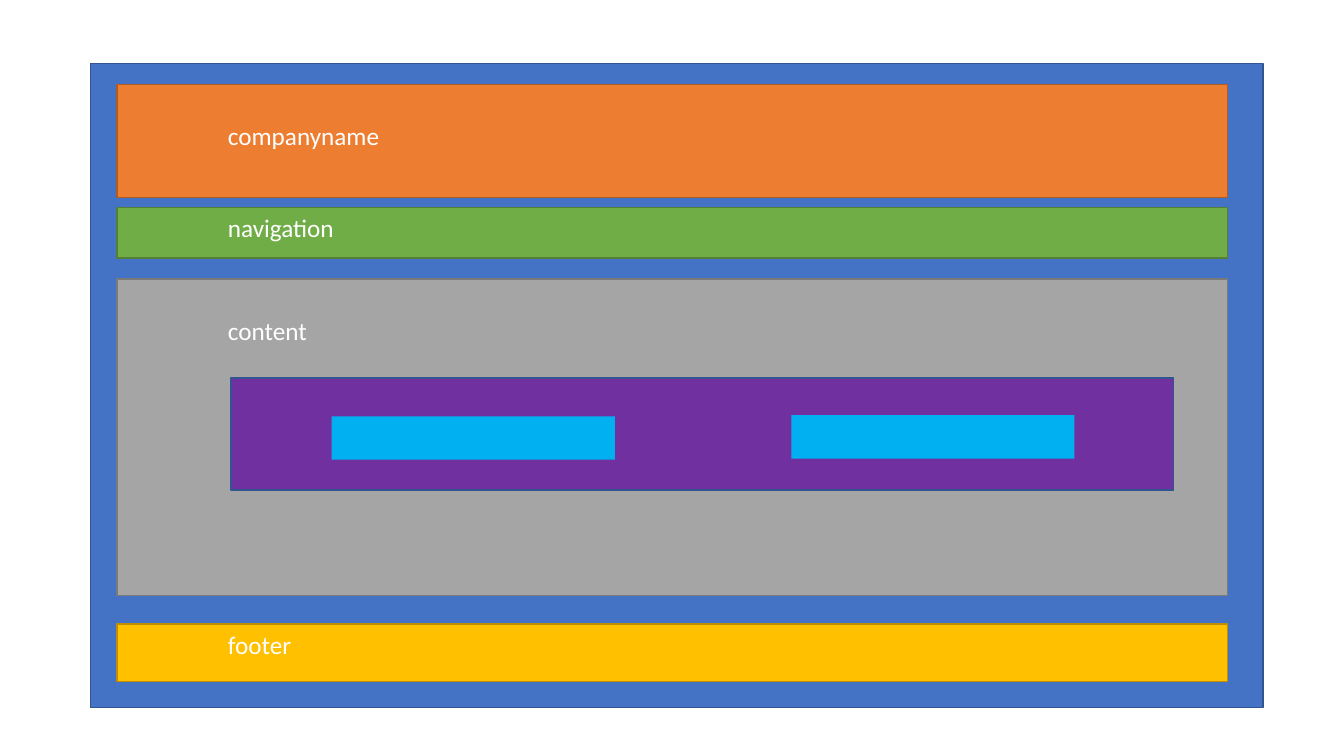
from pptx import Presentation
from pptx.dml.color import RGBColor
from pptx.enum.shapes import MSO_SHAPE
from pptx.enum.text import MSO_ANCHOR, PP_ALIGN
from pptx.util import Pt

# Colours
WHITE = RGBColor(0xFF, 0xFF, 0xFF)
BLUE = RGBColor(0x44, 0x72, 0xC4)
DARK_BLUE = RGBColor(0x32, 0x54, 0x91)
ORANGE = RGBColor(0xED, 0x7D, 0x31)
DARK_ORANGE = RGBColor(0xAF, 0x5C, 0x24)
GREEN = RGBColor(0x70, 0xAD, 0x47)
DARK_GREEN = RGBColor(0x53, 0x80, 0x35)
GREY = RGBColor(0xA5, 0xA5, 0xA5)
DARK_GREY = RGBColor(0x7A, 0x7A, 0x7A)
GOLD = RGBColor(0xFF, 0xC0, 0x00)
DARK_GOLD = RGBColor(0xBD, 0x8E, 0x00)
PURPLE = RGBColor(0x70, 0x30, 0xA0)
SKY = RGBColor(0x00, 0xB0, 0xF0)

# Content: label, top, height, lines above the label, fill, line
SECTIONS = [
    ("companyname", 60.5, 80.6, 1, ORANGE, DARK_ORANGE),
    ("navigation", 148.3, 36, 0, GREEN, DARK_GREEN),
    ("content", 199.4, 226.1, 1, GREY, DARK_GREY),
    ("footer", 445.7, 41, 0, GOLD, DARK_GOLD),
]
BUTTONS = [(236.9, 297.4), (565.2, 296.6)]

# Layout in points
FRAME = (64.8, 45.4, 837.4, 460.1)
PANEL = (164.9, 270, 673.2, 79.9)
BUTTON_SIZE = (202.3, 31)
SECTION_LEFT, SECTION_WIDTH = 83.6, 793.4
LABEL_INDENT, TOP_INSET, LINE_HEIGHT = 79.2, 3.6, 22
LABEL_FONT = {"name": "Calibri", "size": Pt(18)}


def add_box(slide, bounds, fill, line=None):
    box = slide.shapes.add_shape(MSO_SHAPE.RECTANGLE, *(Pt(value) for value in bounds))
    box.shadow.inherit = False
    box.fill.solid()
    box.fill.fore_color.rgb = fill
    if line is None:
        box.line.fill.background()
    else:
        box.line.color.rgb = line
        box.line.width = Pt(1)
    return box


def add_label(box, label, lines_above):
    frame_format = {
        "vertical_anchor": MSO_ANCHOR.TOP,
        "margin_left": Pt(LABEL_INDENT),
        "margin_top": Pt(TOP_INSET + lines_above * LINE_HEIGHT),
    }
    for name, value in frame_format.items():
        setattr(box.text_frame, name, value)
    para = box.text_frame.paragraphs[0]
    para.alignment = PP_ALIGN.LEFT
    span = para.add_run()
    span.text = label
    for name, value in LABEL_FONT.items():
        setattr(span.font, name, value)
    span.font.color.rgb = WHITE


def main():
    deck = Presentation()
    deck.slide_width, deck.slide_height = Pt(960), Pt(540)
    page = deck.slides.add_slide(deck.slide_layouts[6])

    # Page frame and its sections
    add_box(page, FRAME, BLUE, DARK_BLUE)
    for label, top, height, lines_above, fill, line in SECTIONS:
        box = add_box(page, (SECTION_LEFT, top, SECTION_WIDTH, height), fill, line)
        add_label(box, label, lines_above)

    # Panel with buttons inside the content section
    add_box(page, PANEL, PURPLE, DARK_BLUE)
    for position in BUTTONS:
        add_box(page, position + BUTTON_SIZE, SKY)

    deck.save("out.pptx")


if __name__ == "__main__":
    main()
